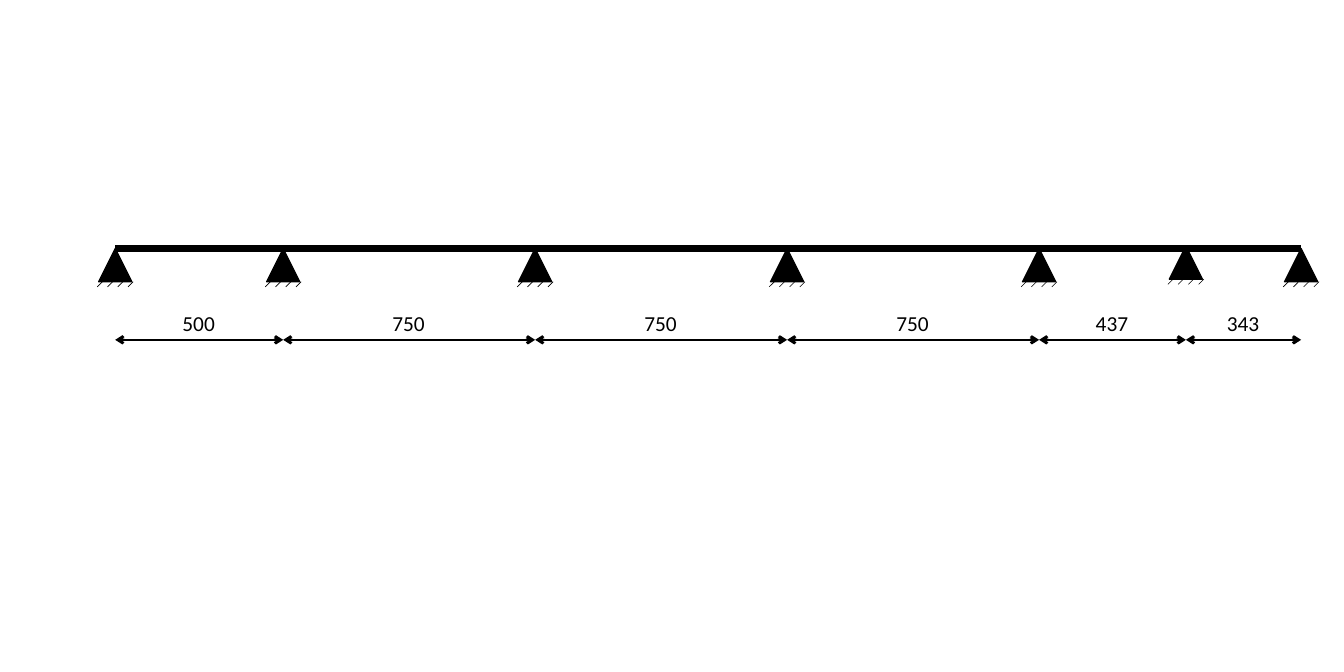
from itertools import accumulate, pairwise

from lxml.etree import SubElement as Sub
from pptx import Presentation
from pptx.dml.color import RGBColor
from pptx.enum.shapes import MSO_CONNECTOR as Conn, MSO_SHAPE as Shape
from pptx.enum.text import MSO_AUTO_SIZE as Fit
from pptx.oxml.ns import qn
from pptx.util import Inches, Pt

BLACK = RGBColor(0, 0, 0)
SPANS = [500, 750, 750, 750, 437, 343]
SCALE = 254
LEFT = 1.35
BEAM = 2.91
DIM = 3.98
SIDE = 0.39
TICK = 0.06


class Sketch:
    font = {"name": "Calibri", "size": Pt(18)}

    def __init__(self, slide):
        self.slide = slide

    def line(self, x1, y1, x2, y2, width, arrows=False, group=None):
        host = group or self.slide
        link = host.shapes.add_connector(
            Conn.STRAIGHT, Inches(x1), Inches(y1), Inches(x2), Inches(y2))
        link.line.color.rgb = BLACK
        link.line.width = Pt(width)
        props = link._element.spPr
        if arrows:
            for end in ("a:headEnd", "a:tailEnd"):
                Sub(props.find(qn("a:ln")), qn(end), type="arrow")
        Sub(props, qn("a:effectLst"))

    def label(self, mid, top, text):
        wide = 0.59
        box = self.slide.shapes.add_textbox(
            Inches(mid - wide / 2), Inches(top), Inches(wide), Inches(0.4))
        frame = box.text_frame
        frame.word_wrap = False
        frame.auto_size = Fit.SHAPE_TO_FIT_TEXT
        run = frame.paragraphs[0].add_run()
        run.text = text
        for key, value in self.font.items():
            setattr(run.font, key, value)
        run.font.color.rgb = BLACK

    def support(self, mid, top):
        group = self.slide.shapes.add_group_shape()
        wedge = group.shapes.add_shape(
            Shape.ISOSCELES_TRIANGLE, Inches(mid - SIDE / 2), Inches(top),
            Inches(SIDE), Inches(SIDE))
        wedge.shadow.inherit = False
        wedge.fill.solid()
        wedge.fill.fore_color.rgb = BLACK
        wedge.line.color.rgb = BLACK
        wedge.line.width = Pt(1)
        base = top + SIDE
        for i in range(4):
            x = mid - 0.21 + i * 0.12
            self.line(x, base + TICK, x + TICK, base, 0.5, group=group)


def main():
    deck = Presentation()
    deck.slide_width = Inches(15.75)
    deck.slide_height = Inches(7.87)
    sketch = Sketch(deck.slides.add_slide(deck.slide_layouts[6]))

    stops = [LEFT + run / SCALE for run in accumulate(SPANS, initial=0)]
    for span, (start, end) in zip(SPANS, pairwise(stops)):
        sketch.line(start, DIM, end, DIM, 2.25, arrows=True)
        sketch.label((start + end) / 2, 3.58, str(span))

    sketch.line(stops[0], BEAM, stops[-1], BEAM, 6)
    for i, stop in enumerate(stops):
        sketch.support(stop, BEAM - 0.03 if i == 5 else BEAM)

    deck.save("out.pptx")


if __name__ == "__main__":
    main()
